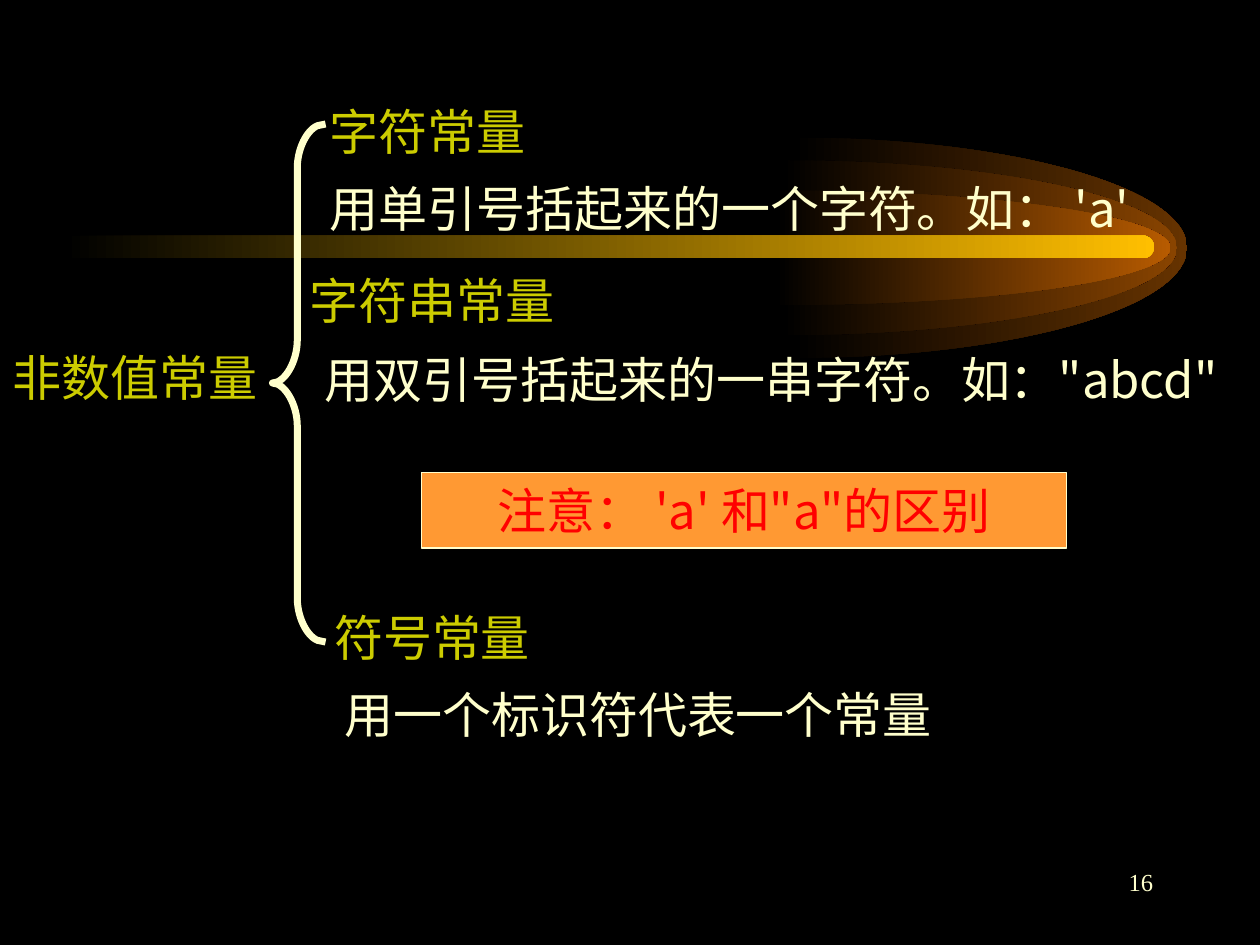
from lxml import etree
from pptx import Presentation
from pptx.dml.color import RGBColor
from pptx.enum.shapes import MSO_SHAPE
from pptx.enum.text import MSO_ANCHOR, PP_ALIGN
from pptx.oxml.ns import qn
from pptx.util import Pt

RECTANGLE = MSO_SHAPE.RECTANGLE
ROUNDED = MSO_SHAPE.ROUNDED_RECTANGLE
MIDDLE = MSO_ANCHOR.MIDDLE
CENTER, LEFT, RIGHT = PP_ALIGN.CENTER, PP_ALIGN.LEFT, PP_ALIGN.RIGHT
SANS, SERIF = "Noto Sans CJK SC", "Times New Roman"
COLORS = {
    "black": "000000",
    "outer glow": "663300",
    "middle glow": "894400",
    "inner glow": "B75B00",
    "beam": "FFBF00",
    "cream": "FFFFCC",
    "olive": "CCCC00",
    "orange": "FF9933",
    "red": "FF0000",
}
COLORS = {name: RGBColor.from_string(code) for name, code in COLORS.items()}


def draw_outline(page, points, controls, close):
    points = [(Pt(x), Pt(y)) for x, y in points]
    builder = page.shapes.build_freeform(*points[0])
    builder.add_line_segments(points[1:], close=close)
    shape = builder.convert_to_shape()
    shape.shadow.inherit = False
    segments = shape._element.xpath(".//a:lnTo")
    for index, handles in controls.items():
        segment = segments[index]
        segment.tag = qn("a:cubicBezTo")
        for place, (x, y) in enumerate(handles):
            handle = etree.Element(qn("a:pt"))
            handle.set("x", str(Pt(x) - shape.left))
            handle.set("y", str(Pt(y) - shape.top))
            segment.insert(place, handle)
    return shape


def write(shape, text, color, font, size=28, align=LEFT):
    para = shape.text_frame.paragraphs[0]
    para.text = text
    para.alignment = align
    para.font.size = Pt(size)
    para.font.name = font
    para.font.color.rgb = COLORS[color]


deck = Presentation()
deck.slide_width, deck.slide_height = Pt(720), Pt(540)
page = deck.slides.add_slide(deck.slide_layouts[6])
page.background.fill.solid()
page.background.fill.fore_color.rgb = COLORS["black"]

axis = 141.6
glow_width = 225.4
roundness = 0.55
faded = []
for left, half_height, color in [
    (452.9, 63, "outer glow"),
    (447.1, 50, "middle glow"),
    (443.5, 32.8, "inner glow"),
]:
    top, bottom, right = axis - half_height, axis + half_height, left + glow_width
    reach, rise = left + roundness * glow_width, roundness * half_height
    points = [(left, top), (right, axis), (left, bottom), (left, axis)]
    controls = {
        0: [(reach, top), (right, axis - rise)],
        1: [(right, axis + rise), (reach, bottom)],
    }
    faded.append((draw_outline(page, points, controls, True), color))

beam = page.shapes.add_shape(ROUNDED, Pt(36), Pt(134.6), Pt(623.5), Pt(13))
beam.adjustments[0] = 0.5
beam.shadow.inherit = False
faded.append((beam, "beam"))

for shape, color in faded:
    shape.line.fill.background()
    shape.fill.gradient()
    shape.fill.gradient_angle = 0
    start, end = shape.fill.gradient_stops
    start.color.rgb, start.position = COLORS["black"], 0
    end.color.rgb, end.position = COLORS[color], 1

number = page.shapes.add_textbox(Pt(516.2), Pt(491.8), Pt(149.8), Pt(36))
number.text_frame.word_wrap = True
write(number, "16", "cream", SERIF, 14, RIGHT)

notice = page.shapes.add_shape(RECTANGLE, Pt(240.9), Pt(270), Pt(368.6), Pt(43.2))
notice.shadow.inherit = False
notice.fill.solid()
notice.fill.fore_color.rgb = COLORS["orange"]
notice.line.color.rgb = COLORS["cream"]
notice.line.width = Pt(1)
notice.text_frame.word_wrap = False
notice.text_frame.vertical_anchor = MIDDLE
write(notice, "注意： 'a' 和\"a\"的区别", "red", SANS, align=CENTER)

for text, left, top, width, height, color, font in [
    ("非数值常量", 0, 195.1, 156.2, 41, "olive", SERIF),
    ("用单引号括起来的一个字符。如： 'a'", 181.4, 98.6, 504.7, 41, "cream", SANS),
    ("用双引号括起来的一串字符。如：\"abcd\"", 178.6, 196.3, 524.2, 74.9, "cream", SANS),
    ("用一个标识符代表一个常量", 189.8, 387.8, 374.4, 41, "cream", SANS),
    ("字符串常量", 169.9, 151.2, 156.2, 41, "olive", SERIF),
    ("字符常量", 181.4, 54.7, 156.2, 41, "olive", SERIF),
    ("符号常量", 183.9, 343.4, 156.2, 41, "olive", SERIF),
]:
    box = page.shapes.add_textbox(Pt(left), Pt(top), Pt(width), Pt(height))
    box.text_frame.word_wrap = True
    write(box, text, color, font)

tip, stem, end = 155.7, 169.9, 184.1
top, middle, bottom = 71.3, 218.9, 366.5
bend = 24.6
half_x, half_y = (end - stem) / 2, bend / 2
points = [
    (end, top),
    (stem, top + bend),
    (stem, middle - bend),
    (tip, middle),
    (stem, middle + bend),
    (stem, bottom - bend),
    (end, bottom),
]
controls = {
    0: [(end - half_x, top), (stem, top + half_y)],
    2: [(stem, middle - half_y), (tip + half_x, middle)],
    3: [(tip + half_x, middle), (stem, middle + half_y)],
    5: [(stem, bottom - half_y), (end - half_x, bottom)],
}
brace = draw_outline(page, points, controls, False)
brace.fill.background()
brace.line.color.rgb = COLORS["cream"]
brace.line.width = Pt(4)
outline = brace.line._get_or_add_ln()
outline.set("cap", "sq")
etree.SubElement(outline, qn("a:round"))

deck.save("out.pptx")
